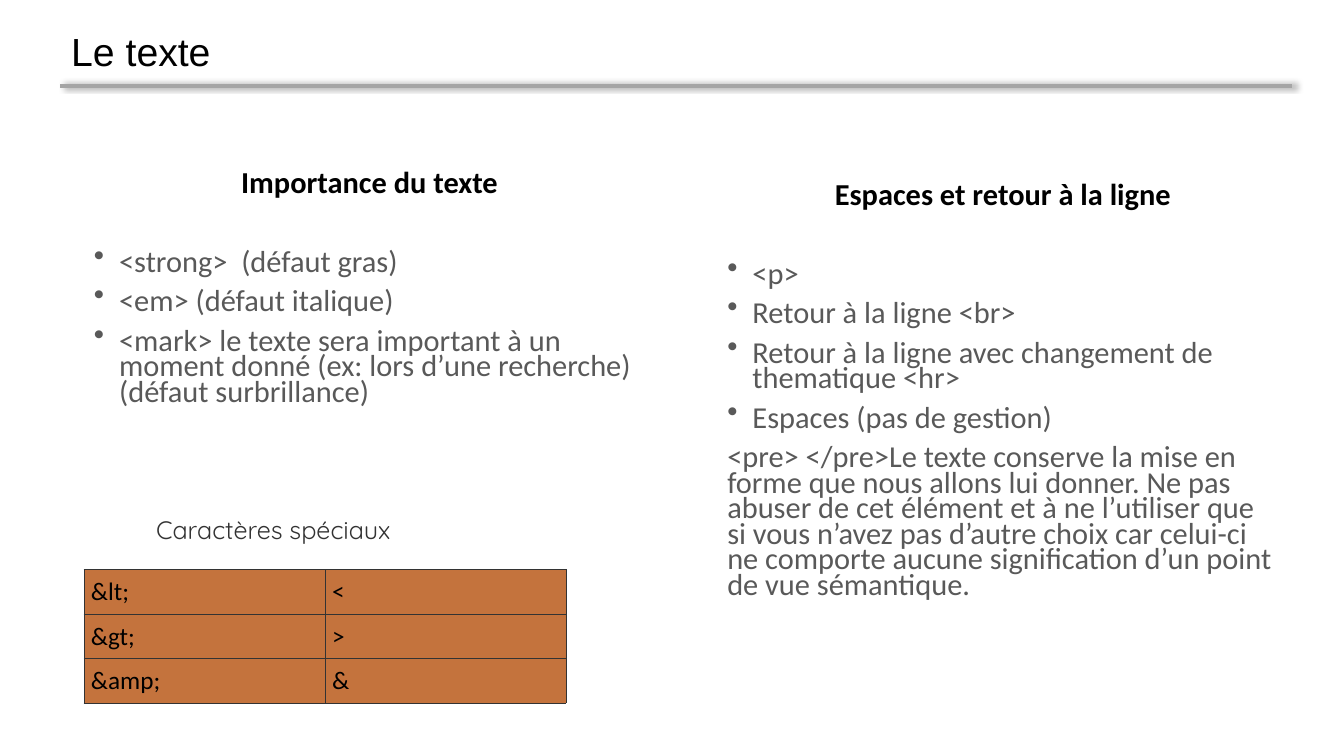
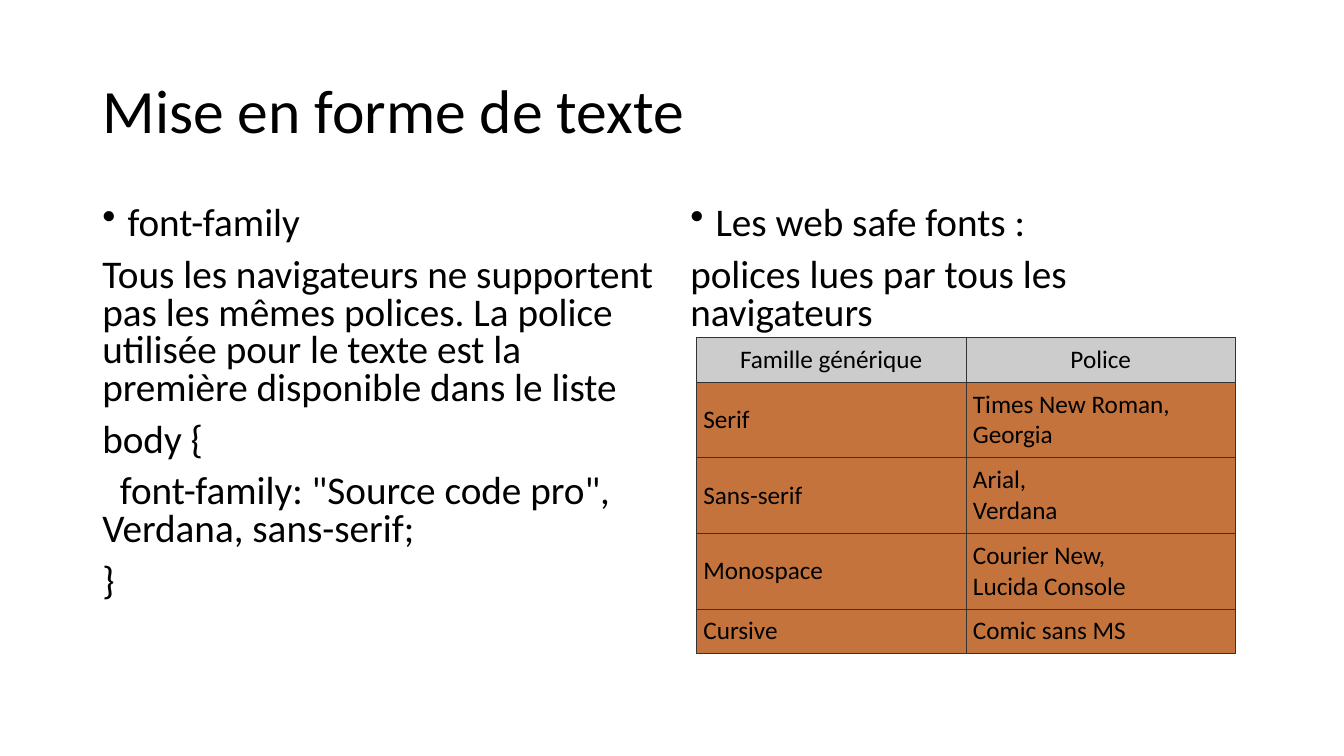
import pptx
import pptx.util
import pptx.dml.color
import pptx.enum.shapes
import pptx.enum.text
import pptx.oxml
import pptx.oxml.ns

Pt = pptx.util.Pt
RGBColor = pptx.dml.color.RGBColor
ALIGN = pptx.enum.text.PP_ALIGN
MIDDLE = pptx.enum.text.MSO_ANCHOR.MIDDLE
NS = pptx.oxml.ns.nsdecls("a")

BLACK = RGBColor(0x00, 0x00, 0x00)
GREY = RGBColor(0x59, 0x59, 0x59)
DARK = RGBColor(0x33, 0x33, 0x33)
RULE = RGBColor(0xA5, 0xA5, 0xA5)
HEADER = RGBColor(0xCC, 0xCC, 0xCC)
ORANGE = RGBColor(0xC4, 0x73, 0x3D)

prs = pptx.Presentation()
prs.slide_width = pptx.util.Inches(13.33)
prs.slide_height = pptx.util.Inches(7.5)
COL = prs.slide_width / 160
ROW = prs.slide_height / 90
INDENT = int(3 * COL)


def write(tf, paras, font, para={}):
    for i, (text, extra) in enumerate(paras):
        p = tf.paragraphs[0] if i == 0 else tf.add_paragraph()
        p.text = text
        fmt = {**para, **extra}
        for name in ("alignment", "line_spacing", "space_before"):
            if name in fmt:
                setattr(p, name, fmt[name])
        pPr = p._p.get_or_add_pPr()
        if "bullet" in fmt:
            pPr.set("marL", str(INDENT))
            pPr.set("indent", str(-INDENT))
            pPr.append(pptx.oxml.parse_xml(f'<a:buChar {NS} char="{fmt["bullet"]}"/>'))
        elif "first_line" in fmt:
            pPr.set("indent", str(fmt["first_line"]))
        for r in p.runs:
            for name, value in {**font, **fmt.get("font", {})}.items():
                if name == "color":
                    r.font.color.rgb = value
                else:
                    setattr(r.font, name, value)


def add_grid(s, x, y, width, heights, rows, has_header):
    box = [int(v) for v in (x * COL, y * ROW, width * COL, sum(heights) * ROW)]
    table = s.shapes.add_table(len(rows), len(rows[0]), *box).table
    table.first_row = has_header
    table.horz_banding = False
    for i, row in enumerate(rows):
        table.rows[i].height = int(heights[i] * ROW)
        is_header = has_header and i == 0
        for j, text in enumerate(row):
            cell = table.cell(i, j)
            cell.vertical_anchor = MIDDLE
            for side in ("left", "right", "top", "bottom"):
                setattr(cell, "margin_" + side, Pt(5))
            tcPr = cell._tc.get_or_add_tcPr()
            for edge in "LRTB":
                tcPr.append(pptx.oxml.parse_xml(
                    f'<a:ln{edge} {NS} w="{Pt(0.5)}"><a:solidFill>'
                    f'<a:srgbClr val="{DARK}"/></a:solidFill></a:ln{edge}>'))
            cell.fill.solid()
            cell.fill.fore_color.rgb = HEADER if is_header else ORANGE
            write(cell.text_frame, [(text, {"alignment": ALIGN.CENTER} if is_header else {})],
                  {"name": "Calibri", "size": Pt(18), "bold": False, "color": BLACK})


BULLET = {"bullet": "•"}
AFTER_HEADING = {**BULLET, "space_before": Pt(38.2)}
HEADING = {"alignment": ALIGN.CENTER, "font": {"bold": True, "color": BLACK}}
TITLE_PARA = {"line_spacing": 0.9}
TAGS_PARA = {"line_spacing": 0.7, "space_before": Pt(10)}
FONTS_PARA = {"line_spacing": 0.8, "space_before": Pt(10)}
TAGS_FONT = {"name": "Calibri", "size": Pt(21.7), "color": GREY}
FONTS_FONT = {"name": "Calibri", "size": Pt(28), "color": BLACK}

slides = [
    {
        "boxes": [
            ((7.3, 2.2, 105.6, 8.5), {"vertical_anchor": MIDDLE},
             {"name": "Arial", "size": Pt(28), "color": BLACK}, TITLE_PARA,
             [("Le texte", {})]),
            ((10, 20, 68, 57), {}, TAGS_FONT, TAGS_PARA, [
                ("Importance du texte", HEADING),
                ("<strong>  (défaut gras)", AFTER_HEADING),
                ("<em> (défaut italique)", BULLET),
                ("<mark> le texte sera important à un moment donné "
                 "(ex: lors d’une recherche) (défaut surbrillance)", BULLET),
            ]),
            ((85.4, 21.4, 68, 57), {}, TAGS_FONT, TAGS_PARA, [
                ("Espaces et retour à la ligne", HEADING),
                ("<p>", AFTER_HEADING),
                ("Retour à la ligne <br>", BULLET),
                ("Retour à la ligne avec changement de thematique <hr>", BULLET),
                ("Espaces (pas de gestion)", BULLET),
                ("<pre> </pre>Le texte conserve la mise en forme que nous allons lui "
                 "donner. Ne pas abuser de cet élément et à ne l’utiliser que si vous "
                 "n’avez pas d’autre choix car celui-ci ne comporte aucune "
                 "signification d’un point de vue sémantique.", {}),
            ]),
            ((17.4, 60.6, 33, 8.5), {"word_wrap": False},
             {"name": "Quicksand", "size": Pt(18), "color": DARK}, {},
             [("Caractères spéciaux", {})]),
        ],
        "table": (10, 67.8, 57.4, [5.3] * 3,
                  [("&lt;", "<"), ("&gt;", ">"), ("&amp;", "&")], False),
        "rule": (7.2, 153.8, 10.2),
    },
    {
        "boxes": [
            ((11, 4.8, 138, 17.4), {"vertical_anchor": MIDDLE},
             {"name": "Calibri", "size": Pt(44), "color": BLACK}, TITLE_PARA,
             [("Mise en forme de texte", {})]),
            ((11, 24, 68, 57), {}, FONTS_FONT, FONTS_PARA, [
                ("font-family", BULLET),
                ("Tous les navigateurs ne supportent pas les mêmes polices. La police "
                 "utilisée pour le texte est la première disponible dans le liste", {}),
                ("body {", {}),
                ('font-family: "Source code pro", Verdana, sans-serif;',
                 {"first_line": int(2.1 * COL)}),
                ("}", {}),
            ]),
            ((81, 24, 68, 57), {}, FONTS_FONT, FONTS_PARA, [
                ("Les web safe fonts :", BULLET),
                ("polices lues par tous les navigateurs", {}),
            ]),
        ],
        "table": (82.9, 40.2, 64.2, [5.3, 9, 9, 9, 5.3], [
            ("Famille générique", "Police"),
            ("Serif", "Times New Roman,\nGeorgia"),
            ("Sans-serif", "Arial,\nVerdana"),
            ("Monospace", "Courier New,\nLucida Console"),
            ("Cursive", "Comic sans MS"),
        ], True),
    },
]

for content in slides:
    s = prs.slides.add_slide(prs.slide_layouts[6])
    for (x, y, w, h), frame, font, para, paras in content["boxes"]:
        box = [int(v) for v in (x * COL, y * ROW, w * COL, h * ROW)]
        tf = s.shapes.add_textbox(*box).text_frame
        for name, value in {"word_wrap": True, **frame}.items():
            setattr(tf, name, value)
        write(tf, paras, font, para)
    add_grid(s, *content["table"])
    if "rule" in content:
        x1, x2, y = content["rule"]
        rule = s.shapes.add_connector(
            pptx.enum.shapes.MSO_CONNECTOR.STRAIGHT,
            int(x1 * COL), int(y * ROW), int(x2 * COL), int(y * ROW))
        rule.line.color.rgb = RULE
        rule.line.width = Pt(3)
        rule._element.spPr.append(pptx.oxml.parse_xml(
            f'<a:effectLst {NS}><a:outerShdw blurRad="{Pt(4)}" dist="{Pt(3)}" dir="0">'
            f'<a:srgbClr val="{BLACK}"><a:alpha val="40000"/></a:srgbClr>'
            '</a:outerShdw></a:effectLst>'))

prs.save("out.pptx")
